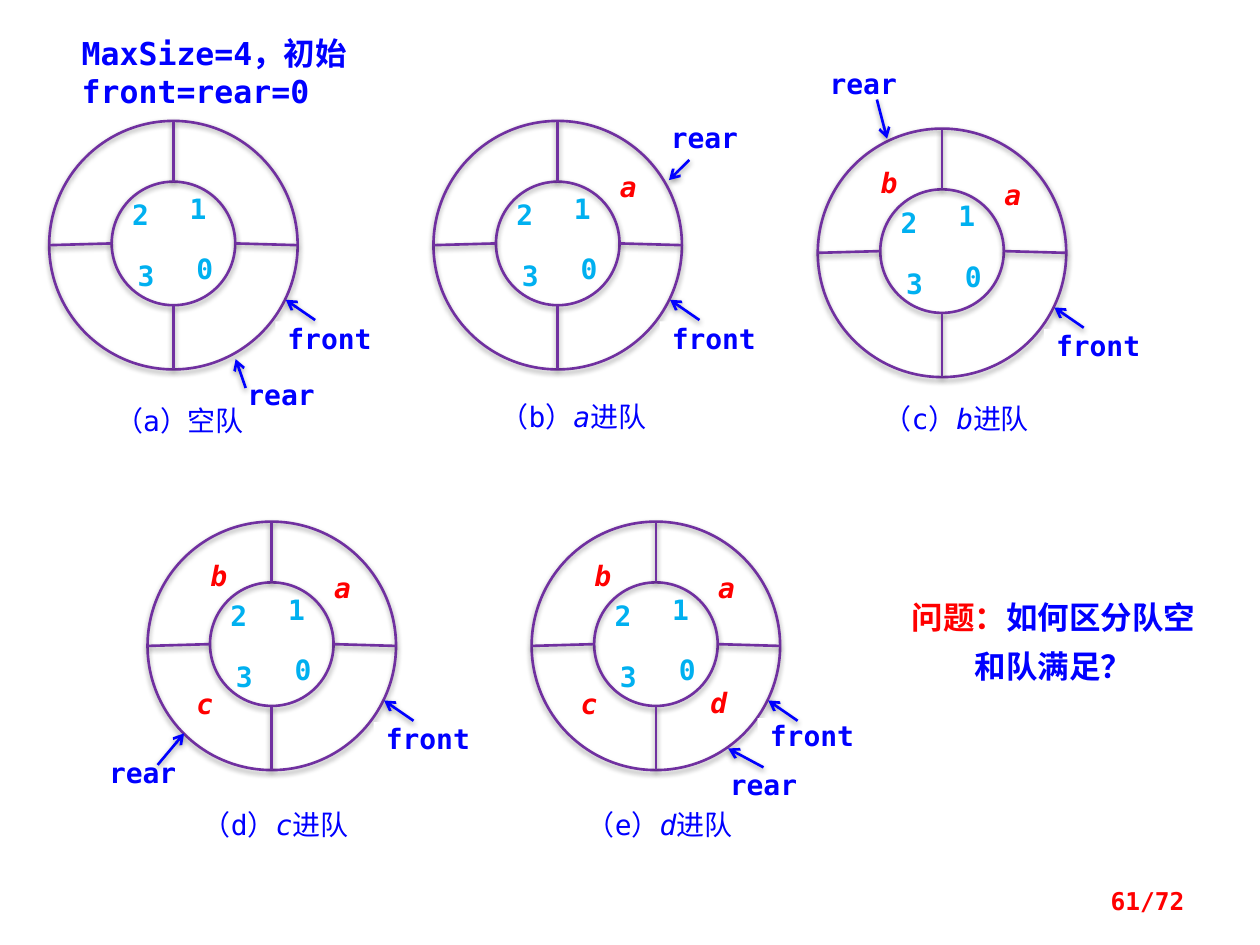
from lxml import etree
from pptx import Presentation
from pptx.dml.color import RGBColor
from pptx.enum.shapes import MSO_CONNECTOR, MSO_SHAPE
from pptx.enum.text import MSO_ANCHOR, MSO_AUTO_SIZE, PP_ALIGN
from pptx.oxml import parse_xml
from pptx.oxml.ns import qn
from pptx.util import Pt

BLUE = RGBColor(0x00, 0x00, 0xFF)
CYAN = RGBColor(0x00, 0xB0, 0xF0)
PURPLE = RGBColor(0x70, 0x30, 0xA0)
RED = RGBColor(0xFF, 0x00, 0x00)
WHITE = RGBColor(0xFF, 0xFF, 0xFF)
LEFT, CENTER, RIGHT = PP_ALIGN.LEFT, PP_ALIGN.CENTER, PP_ALIGN.RIGHT
TOP, MIDDLE = MSO_ANCHOR.TOP, MSO_ANCHOR.MIDDLE
GROW, FIXED = MSO_AUTO_SIZE.SHAPE_TO_FIT_TEXT, MSO_AUTO_SIZE.NONE
OVAL, RECTANGLE, STRAIGHT = MSO_SHAPE.OVAL, MSO_SHAPE.RECTANGLE, MSO_CONNECTOR.STRAIGHT

FONT = "DejaVu Sans Mono"
SHADOW = (
    '<a:effectLst xmlns:a="http://schemas.openxmlformats.org/drawingml/2006/main">'
    '<a:outerShdw blurRad="40000" dist="20000" dir="5400000" rotWithShape="0">'
    '<a:srgbClr val="000000"><a:alpha val="38000"/></a:srgbClr>'
    '</a:outerShdw></a:effectLst>'
)


def add_text(shapes, text, left, top, width, height, color=BLUE, size=16, bold=True,
             italic=False, align=LEFT, anchor=TOP, spacing=None, label=False):
    place = Pt(left), Pt(top), Pt(width), Pt(height)
    if label:
        box = shapes.add_shape(RECTANGLE, *place)
        box.shadow.inherit = False
        box.fill.solid()
        box.fill.fore_color.rgb = WHITE
        box.line.fill.background()
    else:
        box = shapes.add_textbox(*place)
    frame = box.text_frame
    frame.word_wrap = True
    frame.auto_size = FIXED if label or anchor == MIDDLE else GROW
    frame.vertical_anchor = anchor
    if label:
        frame.margin_left = frame.margin_right = frame.margin_top = frame.margin_bottom = 0
    para = frame.paragraphs[0]
    para.alignment = align
    if spacing:
        para.line_spacing = Pt(spacing)
    runs = [(text, {})] if isinstance(text, str) else text
    for words, changes in runs:
        span = para.add_run()
        span.text = words
        span.font.name = FONT
        span.font.size = Pt(size)
        span.font.bold = bold
        span.font.italic = changes.get("italic", italic)
        span.font.color.rgb = changes.get("color", color)
    return box


def add_line(shapes, start, end, color=PURPLE, arrow=False):
    line = shapes.add_connector(STRAIGHT, *(Pt(value) for value in start + end))
    line.line.color.rgb = color
    line.line.width = Pt(1.5)
    if arrow:
        etree.SubElement(line.line._get_or_add_ln(), qn("a:tailEnd"), type="arrow")
    line._element.spPr.append(parse_xml(SHADOW))
    return line


deck = Presentation()
deck.slide_width, deck.slide_height = Pt(720), Pt(540)
page = deck.slides.add_slide(deck.slide_layouts[6])

add_text(page.shapes, "MaxSize=4，初始front=rear=0", 39.6, 15.8, 286.6, 29, size=18)

RADIUS, INNER_RADIUS, INNER_MIDDLE = 71, 35.3, 70
DIGITS = {"0": (77, 71.3), "1": (73.2, 36.7), "2": (40.3, 40.3), "3": (43.4, 75)}
ITEMS = {"a": (99.5, 24.5), "b": (28.8, 17.3), "c": (20.9, 90.7), "d": (95, 90)}
SPOKES = [
    ((RADIUS, INNER_MIDDLE + INNER_RADIUS), (RADIUS, 2 * RADIUS)),
    ((RADIUS + INNER_RADIUS, INNER_MIDDLE), (2 * RADIUS, RADIUS)),
    ((RADIUS, INNER_MIDDLE - INNER_RADIUS), (RADIUS, 0)),
    ((0, RADIUS), (RADIUS - INNER_RADIUS, INNER_MIDDLE)),
]
FRONT_ARROW = (152, 113.8), (135.2, 102.2)

QUEUES = [
    dict(mark="a", origin=(28.1, 69.1), items="", front=(129.2, 114.5), rear=(101.5, 146.9),
         arrow=((112.3, 152.6), (106.6, 136.1)), caption=(33.8, 161.3, 81.4)),
    dict(mark="b", origin=(247.7, 69.1), items="a", front=(129.2, 114.5), rear=(123.8, 0),
         arrow=((146.2, 22.3), (134.6, 33.8)), caption=(23.8, 159.1, 112.3)),
    dict(mark="c", origin=(467.3, 73.5), items="ab", front=(129.2, 114.5), rear=(-5, -35.3),
         arrow=((33.8, -16.6), (39.6, 5.8)), caption=(23, 156.2, 112.3)),
    dict(mark="d", origin=(84.3, 298.1), items="abc", front=(129.2, 114.5), rear=(-33.8, 133.9),
         arrow=((5.8, 139), (20.9, 121)), caption=(17, 163.4, 112.3)),
    dict(mark="e", origin=(303.8, 298.1), items="abcd", front=(129.2, 112.3), rear=(101.5, 140.4),
         arrow=((132.5, 140.4), (112.3, 129.6)), caption=(17, 163.4, 112.3)),
]

for queue in QUEUES:
    shapes = page.shapes.add_group_shape().shapes
    x, y = queue["origin"]
    for item in queue["items"]:
        dx, dy = ITEMS[item]
        add_text(shapes, item, x + dx, y + dy, 22.3, 26.6, color=RED, italic=True)
    for radius, middle in (INNER_RADIUS, INNER_MIDDLE), (RADIUS, RADIUS):
        ring = shapes.add_shape(OVAL, Pt(x + RADIUS - radius), Pt(y + middle - radius),
                                Pt(2 * radius), Pt(2 * radius))
        ring.fill.background()
        ring.line.color.rgb = PURPLE
        ring.line.width = Pt(1.5)
        ring._element.spPr.append(parse_xml(SHADOW))
    for (x1, y1), (x2, y2) in SPOKES:
        add_line(shapes, (x + x1, y + y1), (x + x2, y + y2))
    for digit, (dx, dy) in DIGITS.items():
        add_text(shapes, digit, x + dx, y + dy, 22.3, 26.6, color=CYAN)
    labels = {}
    for name in "front", "rear":
        dx, dy = queue[name]
        labels[name] = add_text(shapes, name, x + dx, y + dy, 62, 21.6, align=CENTER, label=True)
    for (x1, y1), (x2, y2) in FRONT_ARROW, queue["arrow"]:
        pointer = add_line(shapes, (x + x1, y + y1), (x + x2, y + y2), color=BLUE, arrow=True)
    if queue["mark"] == "e":
        pointer.begin_connect(labels["rear"], 0)
    caption = [(f"（{queue['mark']}）", {})]
    if queue["items"]:
        caption += [(queue["items"][-1], {"italic": True}), ("进队", {})]
    else:
        caption += [("空队", {})]
    dx, dy, width = queue["caption"]
    add_text(shapes, caption, x + dx, y + dy, width, 21.6, bold=False, align=CENTER, label=True)

add_text(page.shapes, [("问题：", {"color": RED}), ("如何区分队空和队满足？", {})],
         506.2, 331.9, 191.5, 61.2, size=18, align=CENTER, spacing=28)
add_text(page.shapes, "61/72", 516.2, 500.4, 167.8, 28.8, color=RED, size=14,
         align=RIGHT, anchor=MIDDLE)

deck.save("out.pptx")
